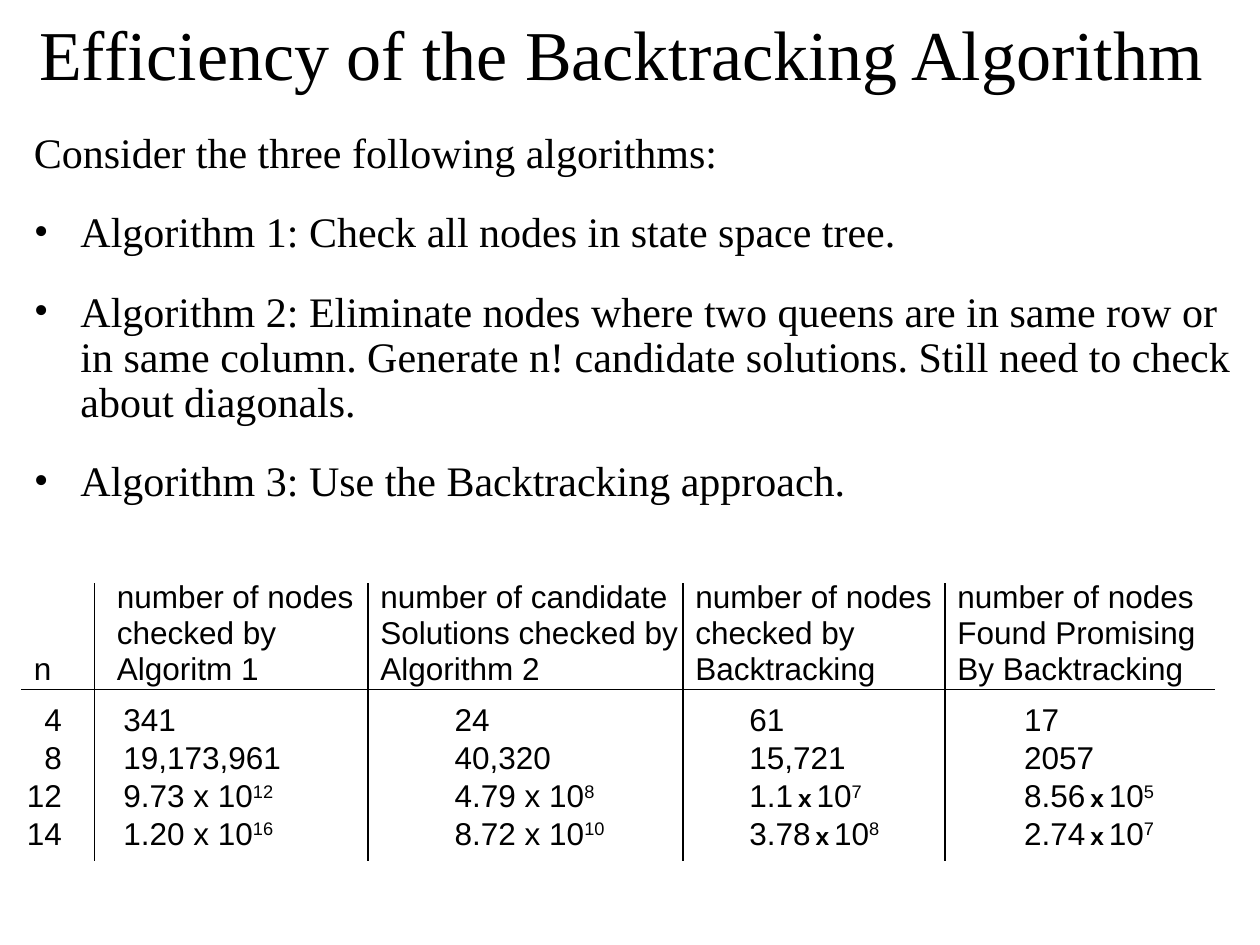
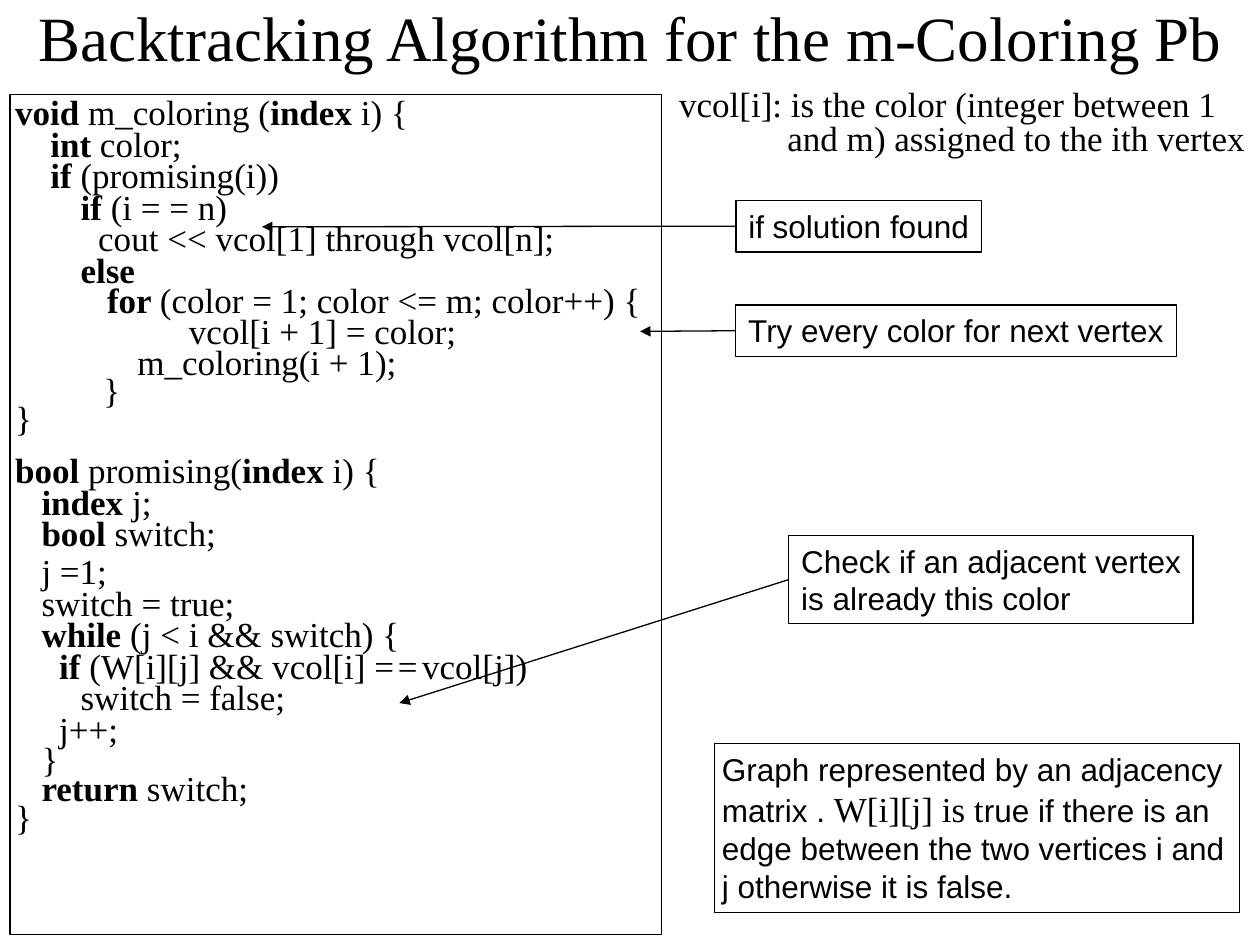
from lxml import etree
from pptx import Presentation
from pptx.dml.color import RGBColor
from pptx.enum.shapes import MSO_CONNECTOR, MSO_SHAPE
from pptx.enum.text import MSO_ANCHOR, PP_ALIGN
from pptx.oxml.ns import qn
from pptx.util import Inches, Pt

RECT = MSO_SHAPE.RECTANGLE
STRAIGHT = MSO_CONNECTOR.STRAIGHT
MIDDLE, TOP = MSO_ANCHOR.MIDDLE, MSO_ANCHOR.TOP
LEFT, CENTER, RIGHT = PP_ALIGN.LEFT, PP_ALIGN.CENTER, PP_ALIGN.RIGHT

COLORS = {"ink": "000000", "paper": "FFFFFF"}
SERIF, SANS = "Times New Roman", "Arial"
THIN = Pt(0.75)
LEFT_SIDE = 1

BODY = {"name": SERIF, "size": Pt(24)}
CODE = {"name": SERIF, "size": Pt(20)}
NOTE = {"name": SANS, "size": Pt(18)}
BOLD = {"bold": True}

# Code lines: indent in inches, line spacing, text with *bold* words
COLORING = [
    (0, 0.75, "*void* m_coloring (*index* i) {"),
    (0.28, 0.75, "*int* color;"),
    (0.28, 0.75, "*if* (promising(i))"),
    (0.52, 0.75, "*if* (i = = n)"),
    (0.66, 0.75, "cout << vcol[1] through vcol[n];"),
    (0.52, 0.75, "*else*"),
    (0.73, 0.7, "*for *(color = 1; color <= m; color++) {"),
    (1.38, 0.75, "vcol[i + 1] = color;"),
    (0.97, 0.75, "m_coloring(i + 1);"),
    (0.7, 0.65, "}"),
    (0, 0.65, "}"),
]
PROMISING = [
    (0, 0.75, "*bool* promising(*index* i) {"),
    (0.21, 0.75, "*index* j;"),
    (0.21, 0.75, "*bool* switch;"),
    (0.21, 0.75, "j =1;"),
    (0.21, 0.75, "switch = true;"),
    (0.21, 0.75, "*while *(j < i && switch) {"),
    (0.35, 0.75, ["*if *(W[i][j] && vcol[i] =", (" ", {"size": Pt(8)}), "=",
                  (" ", {"size": Pt(10)}), "vcol[j])"]),
    (0.52, 0.75, "switch = false;"),
    (0.35, 0.75, "j++;"),
    (0.21, 0.7, "}"),
    (0.21, 0.7, "*return* switch;"),
    (0, 0.7, "}"),
]
# Extra space before the second function and before its first statement
GAPS = {len(COLORING): 12.5, len(COLORING) + 3: 3.7}


def ink(color, key="ink"):
    color.rgb = RGBColor.from_string(COLORS[key])


def apply(item, values):
    for name, value in values.items():
        setattr(item, name, value)


def split(text):
    """Turn text with *bold* words into (text, format) pieces."""
    return [(part, BOLD if i % 2 else {})
            for i, part in enumerate(text.split("*")) if part]


def write(para, content, font, indent=0, hang=0, **layout):
    """Fill a paragraph from a string or a list of strings and pieces."""
    apply(para, layout)
    props = para._p.get_or_add_pPr()
    props.set("marL", str(Inches(indent)))
    props.set("indent", str(Inches(hang)))
    for item in [content] if isinstance(content, str) else content:
        for text, extra in split(item) if isinstance(item, str) else [item]:
            run = para.add_run()
            run.text = text
            extra = dict(extra)
            if extra.pop("raised", False):
                run._r.get_or_add_rPr().set("baseline", "30000")
            apply(run.font, {**font, **extra})
            ink(run.font.color)


def fill(frame, lines, font=NOTE, **layout):
    """Write one paragraph per line."""
    for i, line in enumerate(lines):
        para = frame.add_paragraph() if i else frame.paragraphs[0]
        write(para, line, font, **layout)


def setup(frame, side=0.1, wrap=True, anchor=TOP):
    apply(frame, {"margin_left": Inches(side), "margin_right": Inches(side),
                  "margin_top": Inches(0.05), "margin_bottom": Inches(0.05),
                  "word_wrap": wrap, "vertical_anchor": anchor})
    return frame


def add_text(slide, box, **frame):
    shape = slide.shapes.add_textbox(*map(Inches, box))
    return setup(shape.text_frame, **frame)


def add_title(slide, text, height, size, side=0.1):
    frame = add_text(slide, (0, 0, 10, height), side=side, anchor=MIDDLE)
    write(frame.paragraphs[0], text, {"name": SERIF, "size": Pt(size)},
          alignment=CENTER)


def add_box(slide, box, lines=(), **frame):
    """Draw an outlined box with one paragraph per line."""
    shape = slide.shapes.add_shape(RECT, *map(Inches, box))
    shape.shadow.inherit = False
    shape.fill.background()
    ink(shape.line.color)
    shape.line.width = THIN
    fill(setup(shape.text_frame, **frame), lines, alignment=LEFT)
    return shape


def add_line(slide, start, end):
    line = slide.shapes.add_connector(STRAIGHT, *map(Inches, start + end))
    ink(line.line.color)
    line.line.width = THIN
    etree.SubElement(line._element.spPr, qn("a:effectLst"))
    return line


def add_arrow(slide, box, tip):
    """Point from the left side of a box to a place in the code."""
    line = add_line(slide, (0, 0), tip)
    line.begin_connect(box, LEFT_SIDE)
    etree.SubElement(line.line._get_or_add_ln(), qn("a:tailEnd"),
                     type="triangle")


def power(base, exp):
    return [base + " x 10", (exp, {"raised": True})]


def tight(base, exp):
    """Power of ten with a small bold times sign."""
    gap = (" ", {"size": Pt(10)})
    return [base, gap, ("x", {"size": Pt(14), "bold": True}), gap, "10",
            (exp, {"raised": True})]


def add_counts(slide):
    """Rule the grid and set each column's heading and values."""
    add_line(slide, (0.17, 5.47), (9.64, 5.47))
    for x in (0.75, 2.92, 5.42, 7.5):
        add_line(slide, (x, 4.63), (x, 6.83))

    fill(add_text(slide, (0.17, 5.1, 0.5, 0.4)), ["n"])
    for x, width, lines in (
        (0.83, 2.42, ["number of nodes", "checked by", "Algoritm 1"]),
        (2.92, 3.08, ["number of candidate",
                      "Solutions checked by Algorithm 2"]),
        (5.42, 2.25, ["number of nodes", "checked by", "Backtracking"]),
        (7.5, 2.25, ["number of nodes", "Found Promising",
                     "By Backtracking"]),
    ):
        fill(add_text(slide, (x, 4.55, width, 0.96)), lines, line_spacing=0.95)

    for x, width, side, lines in (
        (0.11, 0.48, RIGHT, ["4", "8", "12", "14"]),
        (0.88, 1.45, LEFT, ["341", "19,173,961", power("9.73", "12"),
                            power("1.20", "16")]),
        (3.51, 1.39, LEFT, ["24", "40,320", power("4.79", "8"),
                            power("8.72", "10")]),
        (5.85, 1.23, LEFT, ["61", "15,721", tight("1.1", "7"),
                            tight("3.78", "8")]),
        (8.03, 1.3, LEFT, ["17", "2057", tight("8.56", "5"),
                           tight("2.74", "7")]),
    ):
        fill(add_text(slide, (x, 5.51, width, 1.3), wrap=False), lines,
             alignment=side)


def add_points(slide):
    frame = add_text(slide, (0.17, 1, 9.75, 3.17))
    write(frame.paragraphs[0], "Consider the three following algorithms:",
          BODY, line_spacing=0.9, space_before=Pt(6))
    for text in (
        "Algorithm 1: Check all nodes in state space tree.",
        "Algorithm 2: Eliminate nodes where two queens are in same row or in "
        "same column. Generate n! candidate solutions. Still need to check "
        "about diagonals.",
        "Algorithm 3: Use the Backtracking approach.",
    ):
        para = frame.add_paragraph()
        write(para, text, BODY, indent=0.37, hang=-0.37, line_spacing=0.9,
              space_before=Pt(19.4))
        props = para._p.get_or_add_pPr()
        etree.SubElement(props, qn("a:buFont"), typeface=SERIF)
        etree.SubElement(props, qn("a:buChar"), char="•")


def add_code(slide):
    frame = add_box(slide, (0.08, 0.75, 5.17, 6.67), side=0.04).text_frame
    for i, (indent, space, text) in enumerate(COLORING + PROMISING):
        para = frame.add_paragraph() if i else frame.paragraphs[0]
        write(para, text, CODE, indent=indent, alignment=LEFT,
              line_spacing=space, space_before=Pt(GAPS.get(i, 0)))


def add_slide(deck):
    slide = deck.slides.add_slide(deck.slide_layouts[6])
    slide.background.fill.solid()
    ink(slide.background.fill.fore_color, "paper")
    return slide


def main():
    deck = Presentation()
    apply(deck, {"slide_width": Inches(10), "slide_height": Inches(7.5)})

    # Efficiency comparison
    slide = add_slide(deck)
    add_title(slide, "Efficiency of the Backtracking Algorithm ", 0.83, 40)
    add_points(slide)
    add_counts(slide)

    # Coloring code with remarks
    slide = add_slide(deck)
    add_title(slide, ["Backtracking Algorithm for the m-Coloring",
                      (" ", {"size": Pt(32)}), "Pb"], 0.58, 36, side=0)
    frame = add_text(slide, (5.33, 0.67, 4.67, 0.67), side=0.06)
    write(frame.paragraphs[0], "vcol[i]: is the color (integer between 1",
          CODE, line_spacing=0.8, space_before=Pt(5))
    write(frame.add_paragraph(), "and m) assigned to the ith vertex", CODE,
          indent=0.86, line_spacing=0.8)
    add_code(slide)
    for box, lines, tip in (
        ((5.84, 1.59, 1.95, 0.41), ["if solution found"], (2.08, 1.8)),
        ((5.84, 2.42, 3.5, 0.41), ["Try every color for next vertex"],
         (5.08, 2.63)),
        ((6.26, 4.25, 3.21, 0.7),
         ["Check if an adjacent vertex", "is already this color"],
         (3.17, 5.58)),
    ):
        add_arrow(slide, add_box(slide, box, lines, wrap=False), tip)
    add_box(slide, (5.67, 5.9, 4.17, 1.34), [[
        "Graph represented by an adjacency matrix . ", ("W[i][j] is t", CODE),
        "rue if there is an edge between the two vertices i and j otherwise "
        "it is false."]], side=0.06)

    deck.save("out.pptx")


if __name__ == "__main__":
    main()
